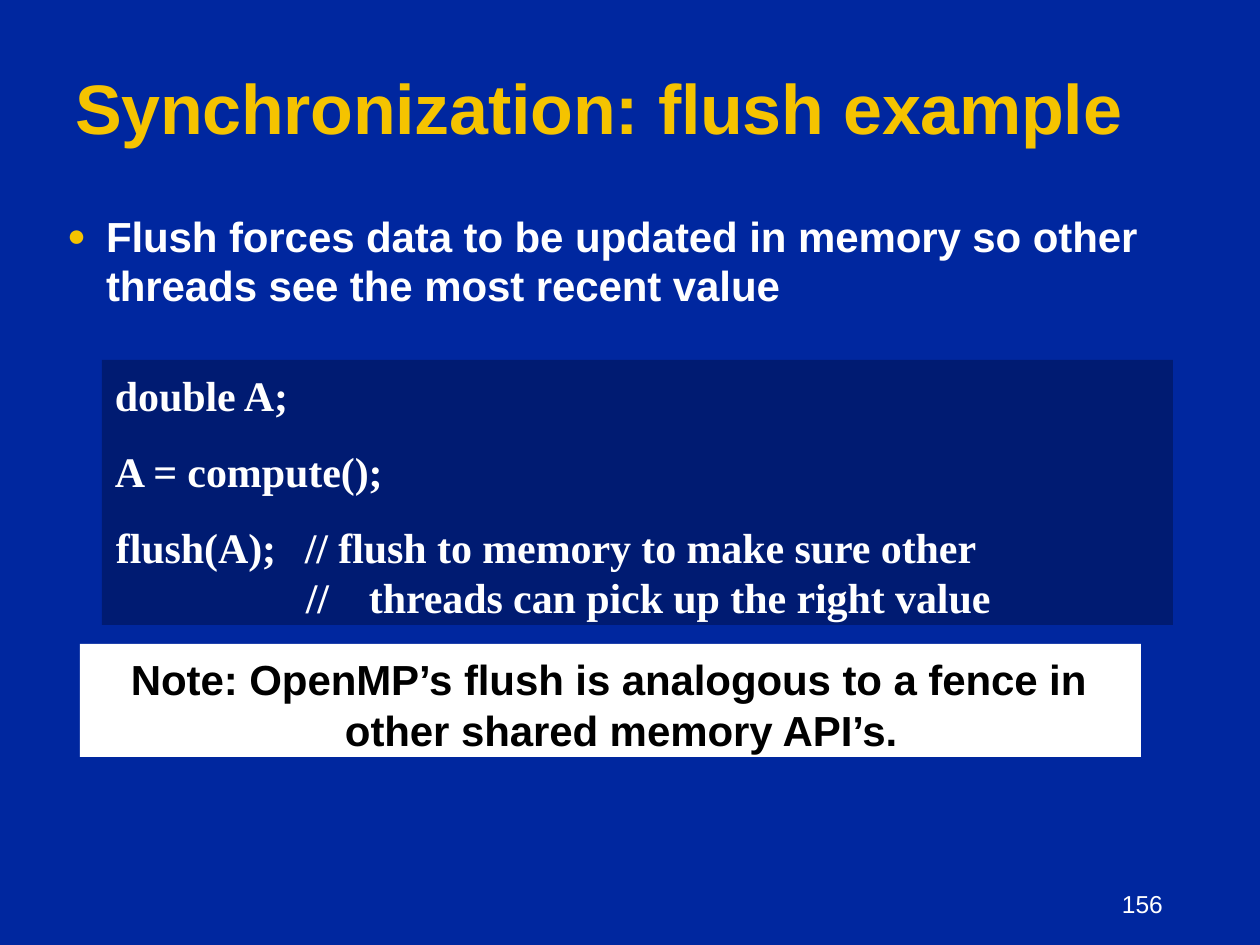
from lxml import etree
from pptx import Presentation
from pptx.dml.color import RGBColor
from pptx.enum.shapes import MSO_SHAPE
from pptx.enum.text import MSO_ANCHOR, MSO_AUTO_SIZE, PP_ALIGN
from pptx.oxml.ns import qn
from pptx.util import Emu, Pt

PX_PER_INCH = 126
RECTANGLE = MSO_SHAPE.RECTANGLE
TOP = MSO_ANCHOR.TOP
NO_AUTOFIT = MSO_AUTO_SIZE.NONE
LEFT = PP_ALIGN.LEFT

BLUE = RGBColor(0x00, 0x27, 0x9F)
NAVY = RGBColor(0x00, 0x1B, 0x72)
GOLD = RGBColor(0xF5, 0xC3, 0x00)
WHITE = RGBColor(0xFF, 0xFF, 0xFF)
BLACK = RGBColor(0x00, 0x00, 0x00)

CODE_LINES = [  # text, left margin, tab stop, space before
    ("double A;", 13, None, 0),
    ("A = compute();", 13, None, 14.4),
    ("flush(A);\t// flush to memory to make sure other", 14, 207, 14.4),
    ("//\tthreads can pick up the right value", 204, 248, 0),
]


def px(length):
    return Emu(round(length * 914400 / PX_PER_INCH))


def place(shape, box):
    shape.left, shape.top, shape.width, shape.height = map(px, box)


def prepare_frame(shape, top_inset):
    frame = shape.text_frame
    frame.word_wrap = True
    frame.auto_size = NO_AUTOFIT
    frame.vertical_anchor = TOP
    frame.margin_left = frame.margin_right = frame.margin_bottom = 0
    frame.margin_top = px(top_inset)
    return frame


def write(para, text, size=24, color=WHITE, font="Arial", bold=True, spacing=-5,
          margin=0, indent=0, before=0, line=None, bullet=None, tab=None):
    props = para._p.get_or_add_pPr()
    props.set("marL", str(px(margin)))
    props.set("indent", str(px(indent)))
    if bullet:
        tint = etree.SubElement(props, qn("a:buClr"))
        etree.SubElement(tint, qn("a:srgbClr"), val=str(GOLD))
        etree.SubElement(props, qn("a:buSzPct"), val="75000")
        etree.SubElement(props, qn("a:buFont"), typeface="Arial")
        etree.SubElement(props, qn("a:buChar"), char=bullet)
    else:
        etree.SubElement(props, qn("a:buNone"))
    if tab:
        stops = etree.SubElement(props, qn("a:tabLst"))
        etree.SubElement(stops, qn("a:tab"), pos=str(px(tab)), algn="l")
    para.alignment = LEFT
    para.space_before = Pt(before)
    if line:
        para.line_spacing = Pt(line)
    span = para.add_run()
    span.text = text
    span.font.size = Pt(size)
    span.font.name = font
    span.font.bold = bold
    span.font.color.rgb = color
    span._r.get_or_add_rPr().set("spc", str(spacing))


def add_panel(page, box, fill):
    panel = page.shapes.add_shape(RECTANGLE, *map(px, box))
    panel.shadow.inherit = False
    panel.fill.solid()
    panel.fill.fore_color.rgb = fill
    panel.line.fill.background()
    return prepare_frame(panel, 10)


def add_title(page, box):
    title = page.shapes.title
    place(title, box)
    write(prepare_frame(title, 3).paragraphs[0], "Synchronization: flush example",
          size=40, color=GOLD, spacing=-10)


def add_body(page, box):
    body = page.placeholders[1]
    place(body, box)
    write(prepare_frame(body, 3).paragraphs[0],
          "Flush forces data to be updated in memory so other "
          "threads see the most recent value",
          margin=42, indent=-39, line=27.9, bullet="●")


def add_code(page, box):
    frame = add_panel(page, box, NAVY)
    for index, (text, margin, tab, before) in enumerate(CODE_LINES):
        para = frame.add_paragraph() if index else frame.paragraphs[0]
        write(para, text, font="Times New Roman", margin=margin, tab=tab,
              before=before)


def add_note(page, box):
    frame = add_panel(page, box, WHITE)
    write(frame.paragraphs[0],
          "Note: OpenMP’s flush is analogous to a fence in "
          "other shared memory API’s.",
          color=BLACK, margin=265, indent=-214)


def add_page_number(page, box):
    number = page.shapes.add_textbox(*map(px, box))
    write(prepare_frame(number, 3).paragraphs[0], "156", size=14, bold=False,
          margin=1)


def main():
    deck = Presentation()
    deck.slide_width, deck.slide_height = px(1260), px(945)
    page = deck.slides.add_slide(deck.slide_layouts[1])
    page.background.fill.solid()
    page.background.fill.fore_color.rgb = BLUE

    # Heading and bullet
    add_title(page, (75, 62, 1056, 87))
    add_body(page, (64, 209, 1084, 101))
    # Code panel and the note below it
    add_code(page, (102, 360, 1071, 265))
    add_note(page, (80, 644, 1061, 113))
    # Footer
    add_page_number(page, (1121, 886, 44, 33))

    deck.save("out.pptx")


if __name__ == "__main__":
    main()
